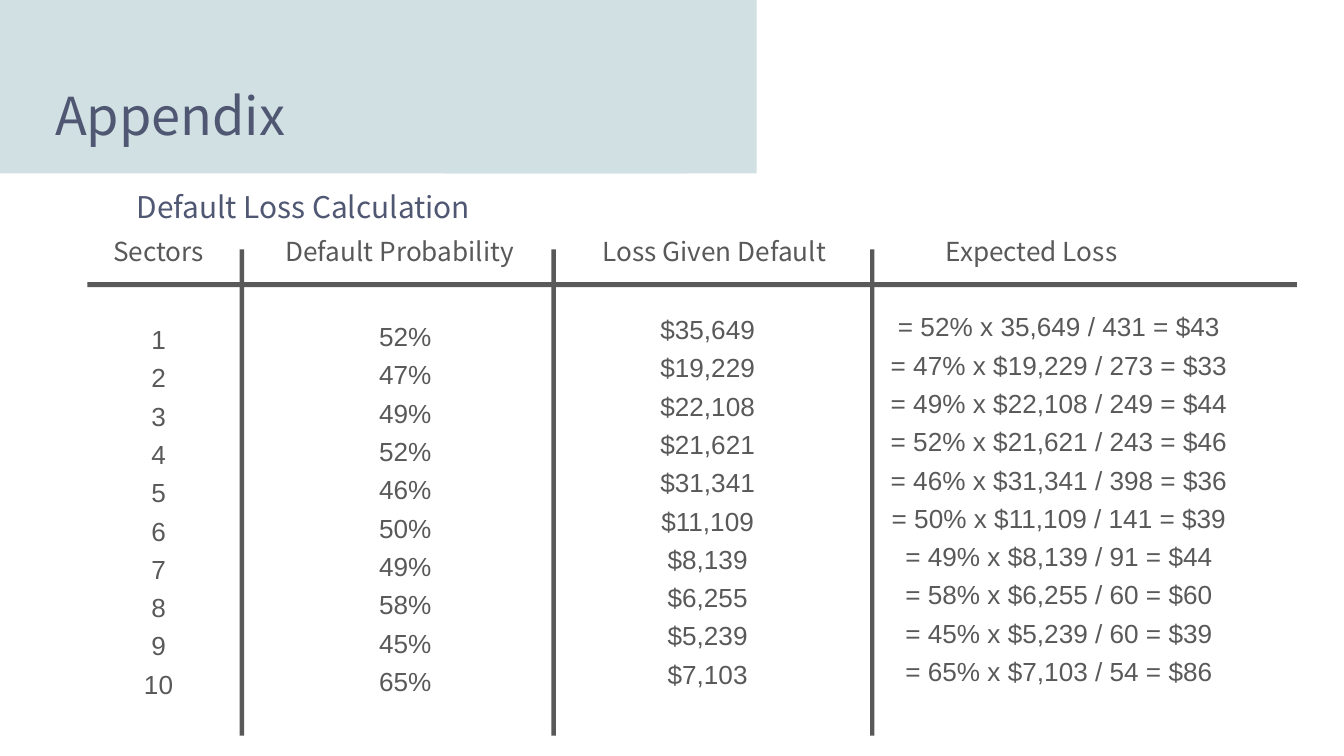
import pptx
import pptx.dml.color
import pptx.enum.shapes
import pptx.enum.text
import pptx.util

Pt = pptx.util.Pt
Align = pptx.enum.text.PP_ALIGN
HEADING_FONT = "Noto Sans CJK KR"
BODY_FONT = "Arial"
NAVY, GREY, PALE = "4F5773", "595959", "D0E0E3"
INSET = 7.2
ROW_GAP = 3.7

COLUMNS = [
    {
        "heading": "Sectors",
        "heading_span": (46.8, 76.3),
        "body_box": (46.8, 154.1, 76.3, 239.8),
        "rows": [str(sector) for sector in range(1, 11)],
    },
    {
        "heading": "Default Probability",
        "heading_span": (130.3, 167.8),
        "body_box": (136.1, 151.2, 162, 242.6),
        "rows": ["52%", "47%", "49%", "52%", "46%",
                 "50%", "49%", "58%", "45%", "65%"],
    },
    {
        "heading": "Loss Given Default",
        "heading_span": (298.8, 167.8),
        "body_box": (298.1, 154.1, 162, 245.5),
        "bottom": 23.6,
        "rows": ["$35,649", "$19,229", "$22,108", "$21,621", "$31,341",
                 "$11,109", "$8,139", "$6,255", "$5,239", "$7,103"],
    },
    {
        "heading": "Expected Loss",
        "heading_span": (468.7, 167.8),
        "body_box": (421.9, 151.2, 290.9, 248.4),
        "bottom": 23.6,
        "rows": ["= 52% x 35,649 / 431 = $43",
                 "= 47% x $19,229 / 273 = $33",
                 "= 49% x $22,108 / 249 = $44",
                 "= 52% x $21,621 / 243 = $46",
                 "= 46% x $31,341 / 398 = $36",
                 "= 50% x $11,109 / 141 = $39",
                 "= 49% x $8,139 / 91 = $44",
                 "= 58% x $6,255 / 60 = $60",
                 "= 45% x $5,239 / 60 = $39",
                 "= 65% x $7,103 / 54 = $86"],
    },
]
DIVIDER_CENTRES = [129.6, 296.6, 467.3]


def rgb(value):
    """Return the colour for a hex string."""
    return pptx.dml.color.RGBColor.from_string(value)


def apply(target, values):
    """Set each attribute of the target from a dict."""
    for name, value in values.items():
        setattr(target, name, value)


def add_block(slide, box, color):
    """Add a plain filled rectangle."""
    block = slide.shapes.add_shape(
        pptx.enum.shapes.MSO_SHAPE.RECTANGLE, *map(Pt, box))
    block.shadow.inherit = False
    block.fill.solid()
    block.fill.fore_color.rgb = rgb(color)
    block.line.fill.background()


def write_lines(frame, lines, font, size, color, align=Align.LEFT, bottom=INSET):
    """Fill a text frame with one formatted paragraph a line."""
    apply(frame, {
        "word_wrap": True,
        "auto_size": pptx.enum.text.MSO_AUTO_SIZE.NONE,
        "vertical_anchor": pptx.enum.text.MSO_ANCHOR.MIDDLE,
        "margin_left": Pt(INSET),
        "margin_right": Pt(INSET),
        "margin_top": Pt(INSET),
        "margin_bottom": Pt(bottom),
    })
    for index, line in enumerate(lines):
        paragraph = frame.add_paragraph() if index else frame.paragraphs[0]
        paragraph.alignment = align
        paragraph.space_before = Pt(ROW_GAP if index else 0)
        run = paragraph.add_run()
        run.text = line
        apply(run.font, {"name": font, "size": Pt(size)})
        run.font.color.rgb = rgb(color)


def add_text(slide, box, lines, *style, **options):
    """Add a text box holding the given lines."""
    text_box = slide.shapes.add_textbox(*map(Pt, box))
    write_lines(text_box.text_frame, lines, *style, **options)


def place_title(slide, box, text):
    """Move the title in front of the banner and format it."""
    title = slide.shapes.title
    left, top, width, height = map(Pt, box)
    apply(title, {"left": left, "top": top, "width": width, "height": height})
    write_lines(title.text_frame, [text], HEADING_FONT, 28, NAVY)
    title.element.getparent().append(title.element)


def add_column(slide, column):
    """Add the heading and the rows of one column."""
    left, width = column["heading_span"]
    add_text(slide, (left, 122.4, width, 24.5), [column["heading"]],
             HEADING_FONT, 14, GREY, align=Align.CENTER)
    add_text(slide, column["body_box"], column["rows"], BODY_FONT, 14, GREY,
             align=Align.CENTER, bottom=column.get("bottom", INSET))


def main():
    """Build the appendix slide and save it."""
    deck = pptx.Presentation()
    apply(deck, {"slide_width": Pt(720), "slide_height": Pt(405)})
    slide = deck.slides.add_slide(deck.slide_layouts[5])

    for banner in [(0, 0, 367.9, 92.9), (238.3, 0, 167.1, 92.9)]:
        add_block(slide, banner, PALE)
    place_title(slide, (22.3, 42.5, 383, 37.4), "Appendix")
    add_text(slide, (66.2, 98.6, 235.4, 23.8), ["Default Loss Calculation"],
             HEADING_FONT, 16, NAVY)

    add_block(slide, (46.8, 151.2, 648, 2.7), GREY)
    for centre in DIVIDER_CENTRES:
        add_block(slide, (centre - 1.2, 133.6, 2.4, 260.6), GREY)
    for column in COLUMNS:
        add_column(slide, column)

    deck.save("out.pptx")


if __name__ == "__main__":
    main()
